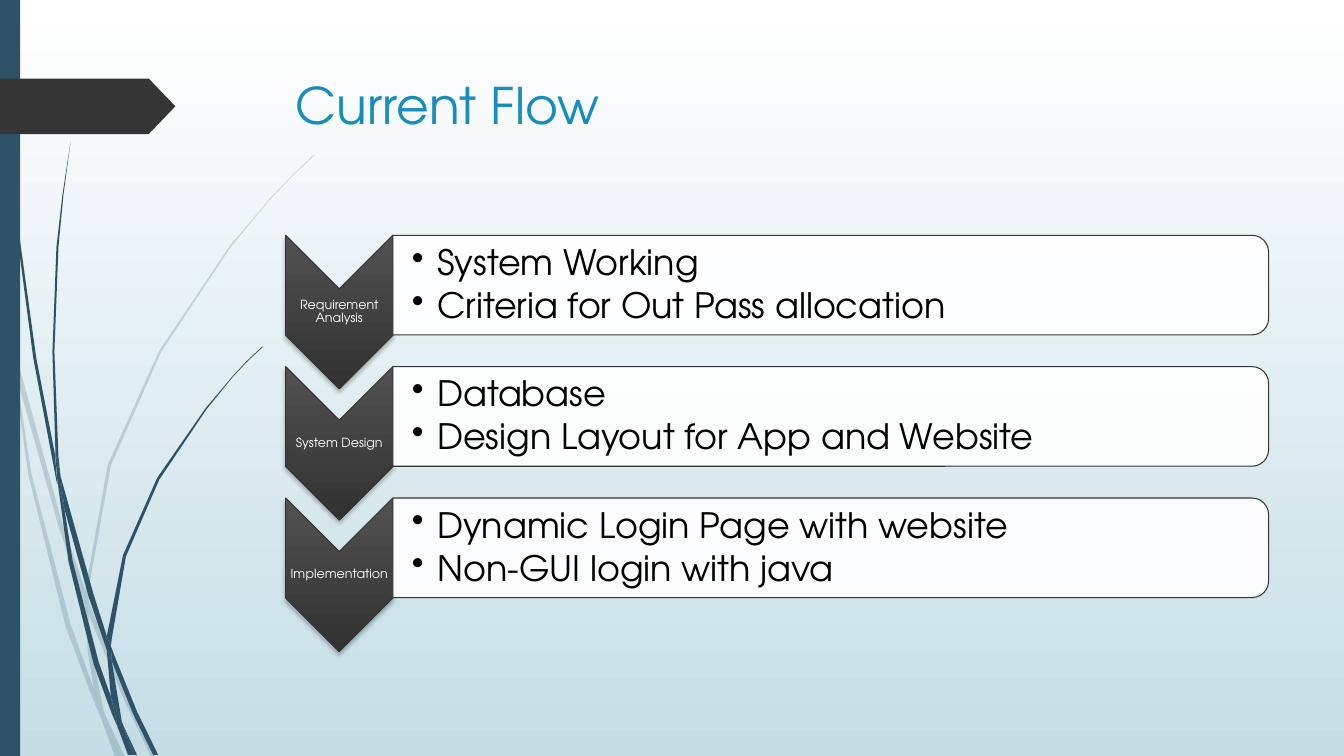
from lxml.etree import SubElement
from pptx import Presentation
from pptx.dml.color import RGBColor
from pptx.enum.shapes import MSO_SHAPE
from pptx.enum.text import MSO_ANCHOR, MSO_AUTO_SIZE, PP_ALIGN
from pptx.oxml.ns import qn
from pptx.util import Cm, Pt

FONT = "TeX Gyre Adventor"
WHITE = RGBColor(0xFF, 0xFF, 0xFF)
BLACK = RGBColor(0x00, 0x00, 0x00)
SKY = RGBColor(0xC5, 0xDE, 0xE5)
NAVY = RGBColor(0x2E, 0x53, 0x69)
CHARCOAL = RGBColor(0x35, 0x35, 0x35)
GRAY_TOP = RGBColor(0x51, 0x51, 0x51)
GRAY_BOTTOM = RGBColor(0x31, 0x31, 0x31)
TITLE_BLUE = RGBColor(0x17, 0x8D, 0xBB)

# Outlines of the grass blade sections: (x, y) in 1/750 of the box height
PALE_BLADES = [
    [(11, 350), (9, 322), (0, 282), (0, 299), (10, 344)],
    [(58, 522), (84, 599), (85, 586), (62, 520), (14, 345), (17, 376)],
    [(92, 607), (88, 596), (88, 610), (123, 694), (150, 751), (155, 751),
     (127, 692)],
    [(119, 751), (124, 751), (105, 711)],
    [(93, 683), (70, 619), (31, 469), (17, 376), (11, 350), (28, 470),
     (65, 621), (92, 693), (101, 714), (99, 707)],
    [(84, 599), (87, 646), (93, 683), (96, 692), (105, 711), (103, 706),
     (91, 646), (88, 610), (88, 608)],
    [(88, 584), (110, 462), (160, 349), (229, 245), (268, 198), (290, 175),
     (312, 154), (312, 153), (289, 175), (268, 197), (228, 244), (158, 348),
     (107, 461), (85, 584), (85, 586), (88, 596)],
    [(101, 714), (114, 751), (119, 751)],
    [(88, 608), (88, 596), (85, 586), (84, 599)],
    [(96, 692), (93, 683), (99, 707), (101, 714), (119, 751), (105, 711)],
]
DARK_BLADES = [
    [(7, 110), (17, 233), (33, 355), (56, 477), (57, 481), (55, 457),
     (55, 453), (36, 355), (19, 232), (8, 109), (5, 48), (4, 0), (3, 0),
     (4, 48)],
    [(88, 592), (106, 645), (106, 631), (93, 590), (60, 472), (64, 505)],
    [(113, 649), (110, 641), (111, 656), (132, 708), (152, 749), (157, 749),
     (136, 706)],
    [(110, 691), (98, 657), (72, 556), (64, 505), (57, 477), (68, 557),
     (93, 659), (111, 708), (117, 722), (116, 717)],
    [(60, 472), (58, 453), (54, 349), (58, 245), (63, 193), (70, 141),
     (62, 193), (56, 245), (52, 349), (55, 449)],
    [(133, 749), (136, 749), (122, 719)],
    [(57, 477), (64, 505), (60, 472), (55, 449), (55, 453)],
    [(111, 633), (125, 552), (158, 476), (205, 406), (231, 374), (245, 359),
     (261, 344), (260, 344), (245, 358), (231, 373), (204, 405), (156, 474),
     (122, 551), (106, 631), (110, 641)],
    [(117, 722), (127, 749), (131, 749)],
    [(106, 645), (110, 691), (116, 706), (122, 719), (121, 716), (111, 656),
     (109, 651)],
    [(106, 645), (109, 651), (111, 656), (110, 641), (106, 631)],
    [(116, 706), (110, 691), (116, 717), (117, 722), (130, 749), (133, 749),
     (122, 719)],
]

STAGES = [
    ("Requirement Analysis",
     ["System Working", "Criteria for Out Pass allocation"]),
    ("System Design", ["Database", "Design Layout for App and Website"]),
    ("Implementation",
     ["Dynamic Login Page with website", "Non-GUI login with java"]),
]


def set_opacity(shape, percent):
    color = shape.fill._xPr.find(qn("a:solidFill"))[0]
    SubElement(color, qn("a:alpha"), val=str(percent * 1000))


def paint(shape, color, opacity=100, outline=None):
    shape.shadow.inherit = False
    shape.fill.solid()
    shape.fill.fore_color.rgb = color
    if opacity < 100:
        set_opacity(shape, opacity)
    draw_outline(shape, outline)


def draw_outline(shape, color):
    if color is None:
        shape.line.fill.background()
    else:
        shape.line.color.rgb = color
        shape.line.width = Pt(0.75)


def paint_gradient(fill, top, bottom):
    fill.gradient()
    fill.gradient_angle = 270
    for stop, color in zip(fill.gradient_stops, (top, bottom)):
        stop.color.rgb = color


def add_drop_shadow(shape):
    shape.shadow.inherit = False
    effects = shape._element.spPr.find(qn("a:effectLst"))
    shadow = SubElement(effects, qn("a:outerShdw"), blurRad=str(Pt(3)),
                        dist=str(Pt(2)), dir="5400000", rotWithShape="0")
    color = SubElement(shadow, qn("a:srgbClr"), val="000000")
    SubElement(color, qn("a:alpha"), val="25000")


def add_run(paragraph, text, size, color):
    run = paragraph.add_run()
    run.text = text
    run.font.name = FONT
    run.font.size = Pt(size)
    run.font.color.rgb = color


def add_text_frame(slide, box, left_inset, inset):
    frame = slide.shapes.add_textbox(*box).text_frame
    frame.word_wrap = True
    frame.vertical_anchor = MSO_ANCHOR.MIDDLE
    frame.margin_left = left_inset
    frame.margin_top = frame.margin_right = frame.margin_bottom = inset
    return frame


def add_turned_shape(slide, preset, left, top, width, height):
    """Place a shape turned by 90 degrees so that it fills the given box."""
    shift = (width - height) // 2
    shape = slide.shapes.add_shape(
        preset, left + shift, top - shift, height, width)
    shape.rotation = 90
    return shape


def add_blade(slide, points, unit, opacity):
    builder = slide.shapes.build_freeform(*points[0], scale=unit)
    builder.add_line_segments(points[1:], close=True)
    paint(builder.convert_to_shape(), NAVY, opacity)


def add_side_decoration(slide, height):
    # Grass blades
    for blades, opacity in ((PALE_BLADES, 20), (DARK_BLADES, 100)):
        for points in blades:
            add_blade(slide, points, height / 750, opacity)
    # Edge band and arrow tag
    band = slide.shapes.add_shape(MSO_SHAPE.RECTANGLE, 0, 0, Cm(0.51), height)
    paint(band, NAVY)
    tag = slide.shapes.add_shape(
        MSO_SHAPE.PENTAGON, 0, Cm(1.98), Cm(4.42), Cm(1.4))
    tag.adjustments[0] = 0.48
    paint(tag, CHARCOAL)


def add_title(slide, left, top, width, height):
    title = slide.shapes.title
    title.left, title.top, title.width, title.height = left, top, width, height
    frame = title.text_frame
    frame.auto_size = MSO_AUTO_SIZE.NONE
    frame.vertical_anchor = MSO_ANCHOR.TOP
    paragraph = frame.paragraphs[0]
    paragraph.alignment = PP_ALIGN.LEFT
    add_run(paragraph, "Current Flow", 36, TITLE_BLUE)


def add_stage(slide, name, items, left, top, width):
    arrow_width, arrow_height, bar_height = Cm(2.7), Cm(3.87), Cm(2.51)
    # Downward chevron with its label
    chevron = add_turned_shape(slide, MSO_SHAPE.CHEVRON, left, top,
                               arrow_width, arrow_height)
    paint_gradient(chevron.fill, GRAY_TOP, GRAY_BOTTOM)
    chevron._element.spPr.find(qn("a:gradFill")).set("rotWithShape", "0")
    draw_outline(chevron, CHARCOAL)
    add_drop_shadow(chevron)
    label = add_text_frame(
        slide, (left, top + Cm(1.35), arrow_width, Cm(1.17)), Cm(0.02), Cm(0.02))
    paragraph = label.paragraphs[0]
    paragraph.alignment = PP_ALIGN.CENTER
    paragraph.line_spacing = 0.9
    add_run(paragraph, name, 9, WHITE)
    # Rounded bar with its bullets
    bar_left, bar_width = left + arrow_width, width - arrow_width
    bar = add_turned_shape(slide, MSO_SHAPE.ROUND_2_SAME_RECTANGLE,
                           bar_left, top, bar_width, bar_height)
    paint(bar, WHITE, 90, CHARCOAL)
    frame = add_text_frame(
        slide, (bar_left, top + Cm(0.13), bar_width - Cm(0.12), Cm(2.27)),
        Cm(0.48), Cm(0.04))
    for index, item in enumerate(items):
        paragraph = frame.paragraphs[0] if index == 0 else frame.add_paragraph()
        paragraph.level = 1
        paragraph.line_spacing = 0.9
        paragraph.space_after = Pt(3.75)
        properties = paragraph._p.get_or_add_pPr()
        properties.set("marL", str(Cm(0.64)))
        properties.set("indent", str(-Cm(0.64)))
        SubElement(properties, qn("a:buFontTx"))
        SubElement(properties, qn("a:buChar"), char="•")
        add_run(paragraph, item, 25, BLACK)


def main():
    presentation = Presentation()
    presentation.slide_width, presentation.slide_height = Cm(33.87), Cm(19.05)
    slide = presentation.slides.add_slide(presentation.slide_layouts[5])
    paint_gradient(slide.background.fill, WHITE, SKY)
    add_side_decoration(slide, presentation.slide_height)
    add_title(slide, Cm(7.2), Cm(1.73), Cm(24.77), Cm(3.56))
    for index, (name, items) in enumerate(STAGES):
        add_stage(slide, name, items, Cm(7.2), Cm(5.93) + index * Cm(3.31),
                  Cm(24.77))
    presentation.save("out.pptx")


if __name__ == "__main__":
    main()
